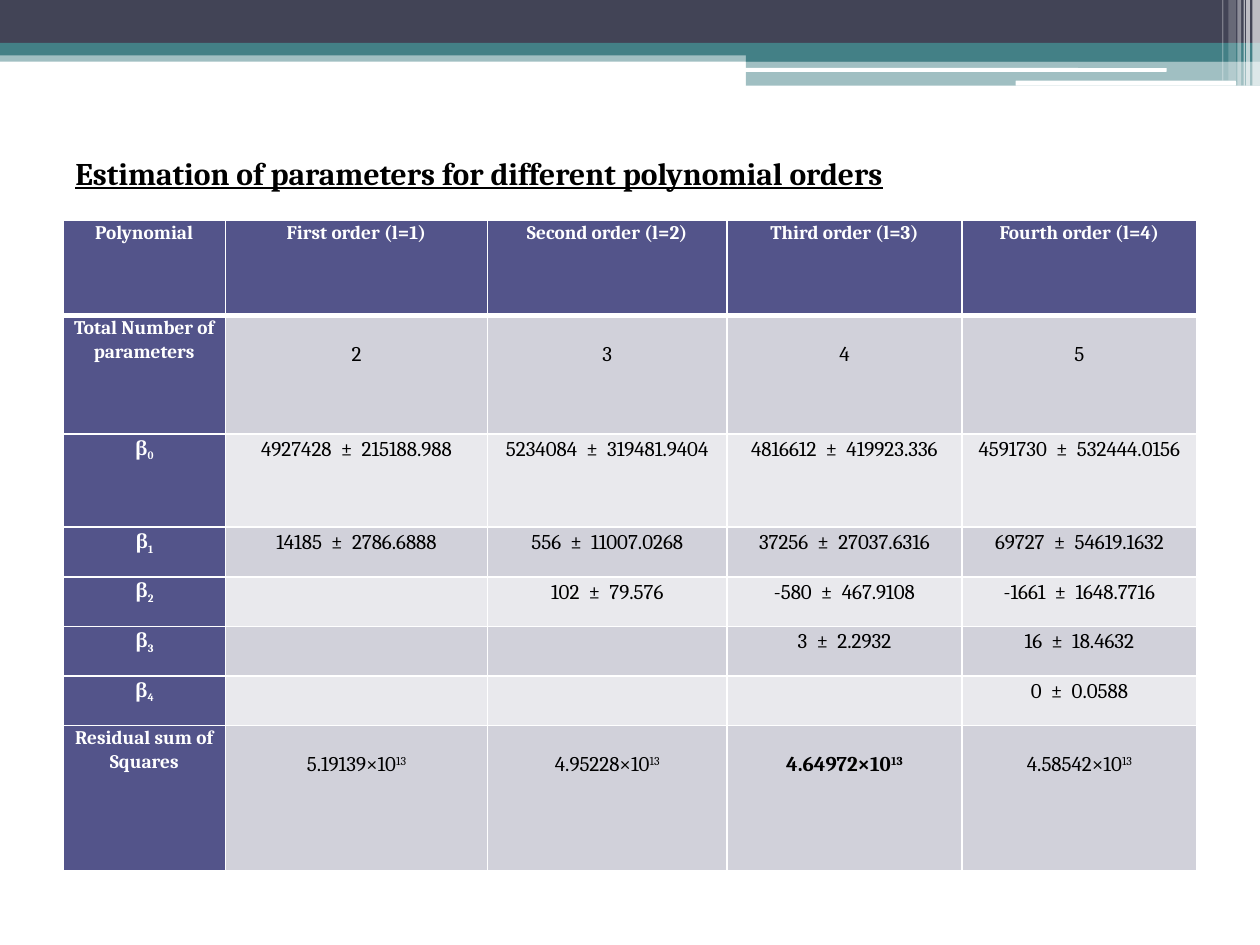
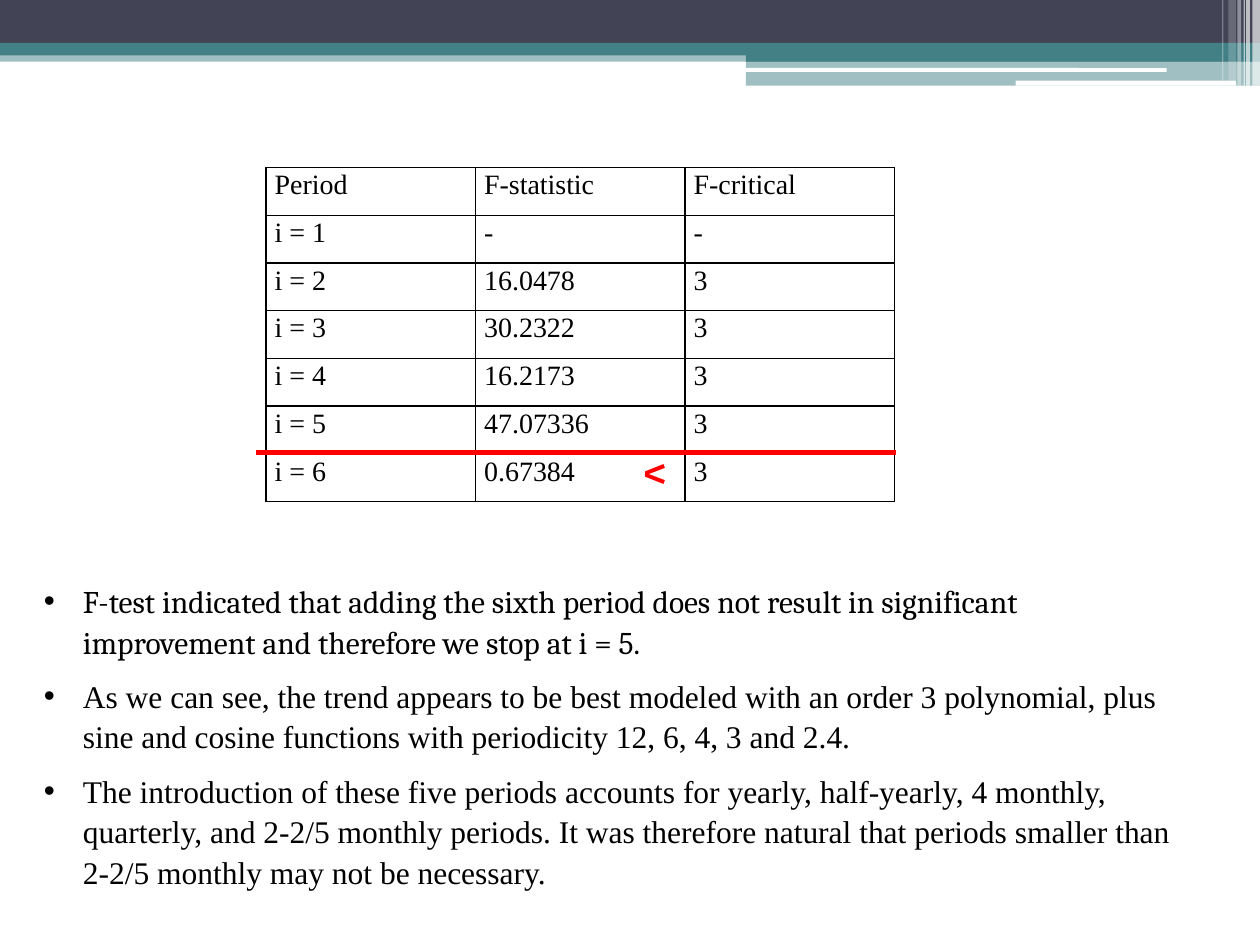
import dataclasses
import typing

import lxml.etree
import pptx
import pptx.dml.color
import pptx.enum.shapes
import pptx.enum.text
import pptx.oxml.ns
import pptx.util

RGBColor = pptx.dml.color.RGBColor
Shapes = pptx.enum.shapes.MSO_SHAPE
Align = pptx.enum.text.PP_ALIGN

NAVY = RGBColor(0x42, 0x44, 0x56)
TEAL = RGBColor(0x43, 0x80, 0x86)
INDIGO = RGBColor(0x53, 0x54, 0x8A)
DARK_BAND = RGBColor(0xD1, 0xD1, 0xDA)
LIGHT_BAND = RGBColor(0xE9, 0xE9, 0xED)
WHITE = RGBColor(0xFF, 0xFF, 0xFF)
BLACK = RGBColor(0, 0, 0)
RED = RGBColor(0xFF, 0, 0)

SERIF = "Cambria"
ROMAN = "Times New Roman"

SLIDE_WIDTH = pptx.util.Inches(10)
SLIDE_HEIGHT = pptx.util.Inches(7.5)
GRID_COLUMNS = 100
GRID_ROWS = 75
PLUS_MINUS = "  ±  "


@dataclasses.dataclass(frozen=True)
class Box:
    left: float
    top: float
    width: float
    height: float

    def lengths(self) -> tuple[int, int, int, int]:
        return columns(self.left), rows(self.top), columns(self.width), rows(self.height)


@dataclasses.dataclass(frozen=True)
class Band:
    box: Box
    color: RGBColor
    opacity: int = 100
    rounded: bool = False


@dataclasses.dataclass(frozen=True)
class CellText:
    text: str = ""
    script: str = ""
    baseline: int = 0
    size: int = 12
    color: RGBColor = BLACK
    bold: bool = False
    font: str = SERIF
    spacing: float = 1.07
    align: Align = Align.CENTER
    top_margin: float = 0


BANDS = [
    Band(Box(0, 4, 100, 0.9), TEAL, 50),
    Band(Box(0, 0, 100, 3.4), NAVY),
    Band(Box(0, 3.4, 100, 1), TEAL),
    Band(Box(59.2, 3.9, 40.8, 1), TEAL),
    Band(Box(59.2, 4.8, 40.8, 2), TEAL, 50),
    Band(Box(59.1, 5.4, 33.5, 0.3), WHITE, rounded=True),
    Band(Box(80.6, 6.4, 17.5, 0.4), WHITE, rounded=True),
    Band(Box(99.4, 0, 0.6, 6.8), WHITE, 65),
    Band(Box(98.9, 0, 0.3, 6.8), WHITE, 65),
    Band(Box(98.7, 0, 0.1, 6.8), WHITE, 60),
    Band(Box(98.2, 0, 0.3, 6.8), WHITE, 40),
    Band(Box(97.5, 0, 0.6, 6.4), WHITE, 20),
    Band(Box(97, 0, 0.1, 6.4), WHITE, 30),
]

ORDERS = ["First", "Second", "Third", "Fourth"]
COEFFICIENTS = [
    [("4927428", "215188.988"), ("5234084", "319481.9404"),
     ("4816612", "419923.336"), ("4591730", "532444.0156")],
    [("14185", "2786.6888"), ("556", "11007.0268"),
     ("37256", "27037.6316"), ("69727", "54619.1632")],
    [("102", "79.576"), ("-580", "467.9108"), ("-1661", "1648.7716")],
    [("3", "2.2932"), ("16", "18.4632")],
    [("0", "0.0588")],
]
RESIDUALS = ["5.19139", "4.95228", "4.64972", "4.58542"]
BEST_RESIDUAL = "4.64972"

F_HEADINGS = ["Period", "F-statistic", "F-critical"]
F_STATISTICS = ["-", "16.0478", "30.2322", "16.2173", "47.07336", "0.67384"]
F_CRITICAL = "3"

CONCLUSIONS = [
    ("F-test indicated that adding the sixth period does not result in significant "
     "improvement and therefore we stop at i = 5.", SERIF),
    ("As we can see, the trend appears to be best modeled with an order 3 polynomial, plus "
     "sine and cosine functions with periodicity 12, 6, 4, 3 and 2.4.", ROMAN),
    ("The introduction of these five periods accounts for yearly, half-yearly, 4 monthly, "
     "quarterly, and 2-2/5 monthly periods. It was therefore natural that periods smaller than "
     "2-2/5 monthly may not be necessary.", ROMAN),
]


def columns(count: float) -> int:
    return round(SLIDE_WIDTH * count / GRID_COLUMNS)


def rows(count: float) -> int:
    return round(SLIDE_HEIGHT * count / GRID_ROWS)


def add_element(parent: typing.Any, tag: str, **attributes: str) -> typing.Any:
    return lxml.etree.SubElement(parent, pptx.oxml.ns.qn(tag), attributes)


def write_text(paragraph: typing.Any, text: str, *, font: str = SERIF, size: int = 18,
               color: RGBColor = BLACK, bold: bool = False, underline: bool = False,
               baseline: int = 0) -> None:
    run = paragraph.add_run()
    run.text = text
    run.font.name = font
    run.font.size = pptx.util.Pt(size)
    run.font.color.rgb = color
    run.font.bold = bold
    run.font.underline = underline
    if baseline:
        run._r.get_or_add_rPr().set("baseline", str(baseline * 1000))


def add_text_frame(slide: typing.Any, box: Box) -> typing.Any:
    text_frame = slide.shapes.add_textbox(*box.lengths()).text_frame
    text_frame.word_wrap = True
    text_frame.auto_size = pptx.enum.text.MSO_AUTO_SIZE.SHAPE_TO_FIT_TEXT
    return text_frame


def add_band(slide: typing.Any, band: Band) -> None:
    preset = Shapes.ROUNDED_RECTANGLE if band.rounded else Shapes.RECTANGLE
    shape = slide.shapes.add_shape(preset, *band.box.lengths())
    shape.shadow.inherit = False
    shape.line.fill.background()
    shape.fill.solid()
    shape.fill.fore_color.rgb = band.color
    if band.opacity < 100:
        color = shape._element.spPr.find(".//" + pptx.oxml.ns.qn("a:srgbClr"))
        add_element(color, "a:alpha", val=str(band.opacity * 1000))


def add_banded_slide(presentation: typing.Any) -> typing.Any:
    slide = presentation.slides.add_slide(presentation.slide_layouts[6])
    for band in BANDS:
        add_band(slide, band)
    return slide


def style_cell(cell: typing.Any, content: CellText, fill: RGBColor | None,
               border: RGBColor, top_width: int, bottom_width: int) -> None:
    cell.margin_left = cell.margin_right = columns(0.7)
    cell.margin_top = rows(content.top_margin)
    cell.margin_bottom = 0
    properties = cell._tc.get_or_add_tcPr()
    for side, width in zip("LRTB", (1, 1, top_width, bottom_width)):
        line = add_element(properties, f"a:ln{side}", w=str(pptx.util.Pt(width)))
        add_element(add_element(line, "a:solidFill"), "a:srgbClr", val=str(border))
    if fill is None:
        cell.fill.background()
    else:
        cell.fill.solid()
        cell.fill.fore_color.rgb = fill
    paragraph = cell.text_frame.paragraphs[0]
    paragraph.alignment = content.align
    paragraph.line_spacing = content.spacing
    for text, baseline in ((content.text, 0), (content.script, content.baseline)):
        if text:
            write_text(paragraph, text, font=content.font, size=content.size,
                       color=content.color, bold=content.bold, baseline=baseline)


def add_grid_table(slide: typing.Any, left: float, top: float, widths: list[float],
                   heights: list[float], contents: list[list[CellText]], border: RGBColor,
                   fill_for: typing.Callable[[int, int], RGBColor | None],
                   header_rule: int = 1) -> None:
    box = Box(left, top, sum(widths), sum(heights))
    table = slide.shapes.add_table(len(heights), len(widths), *box.lengths()).table
    table.first_row = table.horz_banding = False
    for column, width in zip(table.columns, widths):
        column.width = columns(width)
    for row, height in zip(table.rows, heights):
        row.height = rows(height)
    for row_index, row_contents in enumerate(contents):
        for column_index, content in enumerate(row_contents):
            style_cell(table.cell(row_index, column_index), content,
                       fill_for(row_index, column_index), border,
                       header_rule if row_index == 1 else 1,
                       header_rule if row_index == 0 else 1)


def heading(text: str, **options: typing.Any) -> CellText:
    return CellText(text, size=11, color=WHITE, bold=True, **options)


def polynomial_contents() -> list[list[CellText]]:
    contents = [
        [heading("Polynomial")]
        + [heading(f"{name} order (l={order})") for order, name in enumerate(ORDERS, 1)],
        [heading("Total Number of parameters")]
        + [CellText(str(order + 1), top_margin=2) for order in range(1, len(ORDERS) + 1)],
    ]
    for index, estimates in enumerate(COEFFICIENTS):
        label = heading("β", script=str(index), baseline=-25, spacing=1.15)
        blanks = [CellText()] * (len(ORDERS) - len(estimates))
        values = [CellText(PLUS_MINUS.join(estimate), spacing=1.15) for estimate in estimates]
        contents.append([label] + blanks + values)
    contents.append(
        [heading("Residual sum of Squares")]
        + [CellText(f"{value}×10", script="13", baseline=30, top_margin=2,
                    bold=value == BEST_RESIDUAL) for value in RESIDUALS])
    return contents


def polynomial_fill(row: int, column: int) -> RGBColor:
    if row == 0 or column == 0:
        return INDIGO
    return DARK_BAND if row % 2 else LIGHT_BAND


def add_polynomial_slide(presentation: typing.Any) -> None:
    slide = add_banded_slide(presentation)
    add_grid_table(slide, 5, 17.5, [12.9, 20.8, 19, 18.65, 18.65],
                   [7.55, 9.4, 7.4] + [3.94] * 4 + [11.5],
                   polynomial_contents(), WHITE, polynomial_fill, header_rule=3)
    title = add_text_frame(slide, Box(5, 11.7, 80, 4))
    write_text(title.paragraphs[0], "Estimation of parameters for different polynomial orders",
               bold=True, underline=True)


def add_f_test_slide(presentation: typing.Any) -> None:
    slide = add_banded_slide(presentation)
    texts = [F_HEADINGS] + [
        [f"i = {period}", statistic, "-" if statistic == "-" else F_CRITICAL]
        for period, statistic in enumerate(F_STATISTICS, 1)]
    contents = [[CellText(text, size=16, font=ROMAN, align=Align.LEFT) for text in row]
                for row in texts]
    add_grid_table(slide, 21.1, 13.3, [16.63] * 3, [3.79] * len(texts), contents, BLACK,
                   lambda row, column: None)

    cutoff = slide.shapes.add_connector(
        pptx.enum.shapes.MSO_CONNECTOR.STRAIGHT,
        columns(20.3), rows(35.9), columns(71.1), rows(35.9))
    cutoff.line.color.rgb = RED
    cutoff.line.width = pptx.util.Pt(3)
    add_element(cutoff._element.spPr, "a:effectLst")

    less_than = add_text_frame(slide, Box(50, 34.8, 7.5, 5))
    write_text(less_than.paragraphs[0], "<", size=24, color=RED, bold=True)

    conclusions = add_text_frame(slide, Box(2.5, 45.5, 93.3, 25.8))
    for index, (text, font) in enumerate(CONCLUSIONS):
        paragraph = conclusions.add_paragraph() if index else conclusions.paragraphs[0]
        paragraph.line_spacing = 1.07
        paragraph.space_after = pptx.util.Pt(8)
        properties = paragraph._p.get_or_add_pPr()
        properties.set("marL", str(columns(3.1)))
        properties.set("indent", str(-columns(3.1)))
        add_element(properties, "a:buFont", typeface="Arial")
        add_element(properties, "a:buChar", char="•")
        write_text(paragraph, text, font=font)


def main() -> None:
    presentation = pptx.Presentation()
    presentation.slide_width = SLIDE_WIDTH
    presentation.slide_height = SLIDE_HEIGHT
    add_polynomial_slide(presentation)
    add_f_test_slide(presentation)
    presentation.save("out.pptx")


if __name__ == "__main__":
    main()
